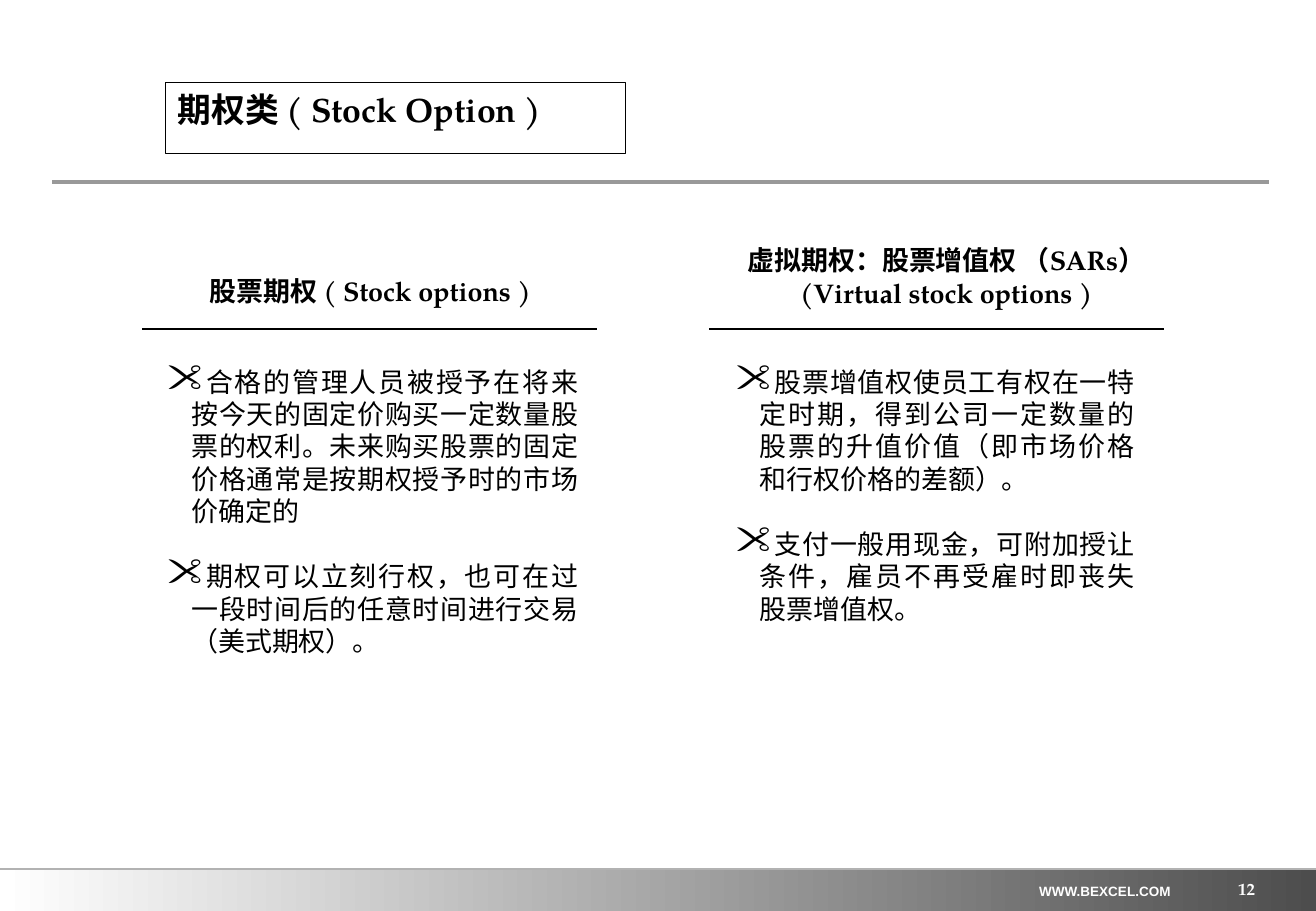
from lxml import etree
from pptx import Presentation
from pptx.dml.color import RGBColor
from pptx.enum import shapes, text
from pptx.oxml.ns import qn
from pptx.util import Pt

THEME = {
    "black": RGBColor(0x00, 0x00, 0x00),
    "white": RGBColor(0xFF, 0xFF, 0xFF),
    "band_end": RGBColor(0x4D, 0x4D, 0x4D),
    "band_edge": RGBColor(0xB2, 0xB2, 0xB2),
    "title_rule": RGBColor(0x99, 0x99, 0x99),
    "serif": "TeX Gyre Pagella",
    "body_font": "Times New Roman",
    "footer_font": "Arial",
    "bullet_font": "Wingdings",
    "title_size": Pt(20),
    "text_size": Pt(16),
    "number_size": Pt(10),
    "footer_size": Pt(8),
}
ALIGN = text.PP_ALIGN

COLUMNS = [
    {
        "heading": "股票期权 ( Stock options )",
        "heading_box": (90.5, 159, 258, 36),
        "rule_left": 84.5,
        "body_box": (92, 213, 258, 210),
        "points": [
            "合格的管理人员被授予在将来按今天的固定价购买一定数量股票的权利。未来购买股票的固定价格通常是按期权授予时的市场价确定的",
            "期权可以立刻行权，也可在过一段时间后的任意时间进行交易（美式期权）。",
        ],
    },
    {
        "heading": "虚拟期权：股票增值权 （SARs）(Virtual stock options )",
        "heading_box": (408, 141, 306, 54),
        "rule_left": 420.5,
        "body_box": (429, 213, 251, 174),
        "points": [
            "股票增值权使员工有权在一特定时期，得到公司一定数量的股票的升值价值（即市场价格和行权价格的差额）。",
            "支付一般用现金，可附加授让条件，雇员不再受雇时即丧失股票增值权。",
        ],
    },
]


def write_text(shape, paragraphs, font, size, color, bold=True, align=ALIGN.LEFT,
               anchor=text.MSO_ANCHOR.TOP, wrap=True, bullets=False):
    frame = shape.text_frame
    frame_format = {"word_wrap": wrap, "vertical_anchor": anchor,
                    "auto_size": text.MSO_AUTO_SIZE.NONE}
    for name, value in frame_format.items():
        setattr(frame, name, value)
    for index, content in enumerate(paragraphs):
        paragraph = frame.add_paragraph() if index else frame.paragraphs[0]
        paragraph.text = content
        paragraph.alignment = align
        if index:
            paragraph.space_before = Pt(19.4)
        if bullets:
            properties = paragraph._p.get_or_add_pPr()
            properties.set("marL", str(Pt(14.4)))
            properties.set("indent", str(-Pt(14.4)))
            bullet_color = etree.SubElement(properties, qn("a:buClr"))
            etree.SubElement(bullet_color, qn("a:srgbClr"), val=str(color))
            etree.SubElement(properties, qn("a:buSzPct"), val="150000")
            etree.SubElement(properties, qn("a:buFont"), typeface=THEME["bullet_font"])
            etree.SubElement(properties, qn("a:buChar"), char="•")
        for run in paragraph.runs:
            for name, value in {"name": font, "size": size, "bold": bold}.items():
                setattr(run.font, name, value)
            run.font.color.rgb = color


def add_rule(slide, left, top, width, color, weight):
    """Draw a horizontal line without a shadow."""
    rule = slide.shapes.add_connector(
        shapes.MSO_CONNECTOR.STRAIGHT, Pt(left), Pt(top), Pt(left + width), Pt(top))
    rule.line.color.rgb = color
    rule.line.width = Pt(weight)
    etree.SubElement(rule._element.spPr, qn("a:effectLst"))


presentation = Presentation()
presentation.slide_width = Pt(780.12)
presentation.slide_height = Pt(540)
slide = presentation.slides.add_slide(presentation.slide_layouts[5])

# Footer band and title rule
band = slide.shapes.add_shape(
    shapes.MSO_SHAPE.RECTANGLE, Pt(0), Pt(516), Pt(780), Pt(24))
band.shadow.inherit = False
band.line.fill.background()
band.fill.gradient()
band.fill.gradient_angle = 0
band_stops = [(0, THEME["white"]), (1, THEME["band_end"])]
for stop, (position, color) in zip(band.fill.gradient_stops, band_stops):
    stop.position = position
    stop.color.rgb = color
add_rule(slide, 31, 108, 721.5, THEME["title_rule"], 2.5)
add_rule(slide, 0, 515, 780, THEME["band_edge"], 1)

website = slide.shapes.add_textbox(Pt(608.5), Pt(520), Pt(93), Pt(17))
write_text(website, ["WWW.BEXCEL.COM"], THEME["footer_font"], THEME["footer_size"],
           THEME["white"], align=ALIGN.CENTER, wrap=False)

# Title
title = slide.shapes.title
title_format = {"left": Pt(98), "top": Pt(49), "width": Pt(273), "height": Pt(42)}
for name, value in title_format.items():
    setattr(title, name, value)
title.fill.solid()
title.fill.fore_color.rgb = THEME["white"]
title.line.color.rgb = THEME["black"]
title.line.width = Pt(0.75)
write_text(title, ["期权类 ( Stock Option )"], THEME["serif"], THEME["title_size"],
           THEME["black"])

# Two option types side by side
for column in COLUMNS:
    heading = slide.shapes.add_textbox(*map(Pt, column["heading_box"]))
    write_text(heading, [column["heading"]], THEME["serif"], THEME["text_size"],
               THEME["black"], align=ALIGN.CENTER)
    body = slide.shapes.add_textbox(*map(Pt, column["body_box"]))
    write_text(body, column["points"], THEME["body_font"], THEME["text_size"],
               THEME["black"], bold=False, align=ALIGN.JUSTIFY, bullets=True)
    add_rule(slide, column["rule_left"], 195, 269.5, THEME["black"], 0.75)

page_number = slide.shapes.add_textbox(Pt(581), Pt(509), Pt(163), Pt(24))
for side in ("left", "top", "right", "bottom"):
    setattr(page_number.text_frame, f"margin_{side}", 0)
write_text(page_number, ["12"], THEME["serif"], THEME["number_size"], THEME["white"],
           align=ALIGN.RIGHT, anchor=text.MSO_ANCHOR.BOTTOM)

presentation.save("out.pptx")
